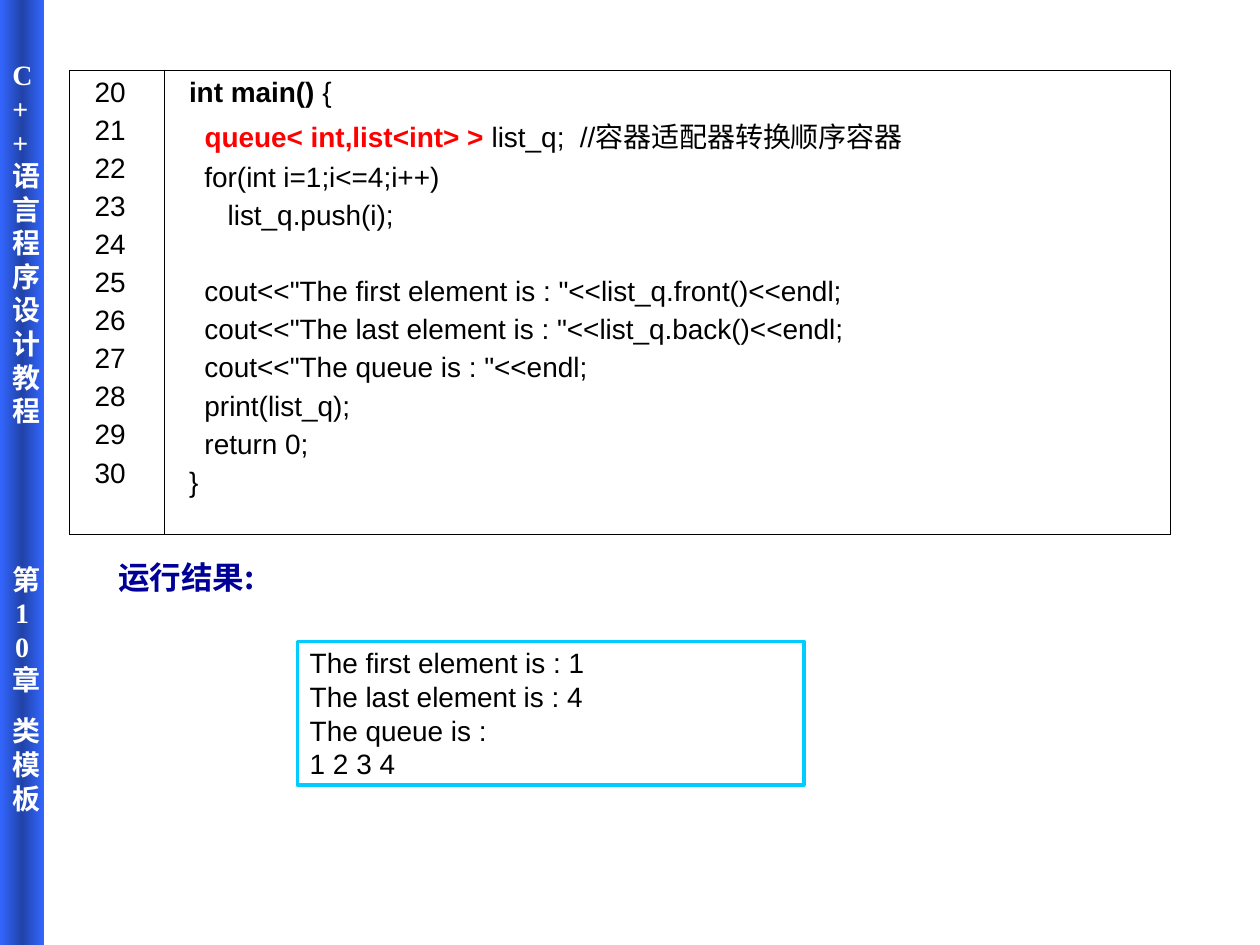
import pptx
import pptx.util
import pptx.dml.color
import pptx.enum.shapes
import pptx.enum.text
import pptx.oxml
import pptx.oxml.ns
import copy

Inches, Pt = pptx.util.Inches, pptx.util.Pt
ALIGN = pptx.enum.text.PP_ALIGN
MIDDLE = pptx.enum.text.MSO_ANCHOR.MIDDLE
RECT = pptx.enum.shapes.MSO_SHAPE.RECTANGLE
CJK = "Noto Sans CJK SC"


def rgb(code):
    return pptx.dml.color.RGBColor.from_string(code)


def style(run, size, color="000000", bold=False, face="Arial"):
    font = run.font
    font.size, font.bold, font.name = Pt(size), bold, face
    font.color.rgb = rgb(color)
    east = pptx.oxml.parse_xml(
        f'<a:ea {pptx.oxml.ns.nsdecls("a")} typeface="{CJK}"/>')
    font._element.append(east)


deck = pptx.Presentation()
deck.slide_width, deck.slide_height = Inches(10), Inches(7.5)
slide = deck.slides.add_slide(deck.slide_layouts[6])
shapes = slide.shapes

# Sidebar with a dark middle
bar = shapes.add_shape(RECT, 0, 0, Inches(0.35), Inches(7.5))
bar.shadow.inherit = False
bar.line.fill.background()
bar.fill.gradient()
bar.fill.gradient_angle = 0
stops = bar.fill._fill._gradFill.gsLst
stops.append(copy.deepcopy(stops[-1]))
for stop, (pos, color) in zip(
        bar.fill.gradient_stops,
        [(0, "3366FF"), (0.5, "2143A9"), (1, "3366FF")]):
    stop.position = pos
    stop.color.rgb = rgb(color)

# Sidebar text, one character a line
frame = bar.text_frame
frame.word_wrap = True
frame.vertical_anchor = pptx.enum.text.MSO_ANCHOR.TOP
frame.margin_top = Inches(0.46)
labels = [("C++语言程序设计教程", 0, ALIGN.LEFT, "Times New Roman"),
          ("第10章", 77, ALIGN.CENTER, "Times New Roman"),
          ("类模板", 10, ALIGN.LEFT, "Arial")]
frame.text = "\n".join(label[0] for label in labels)
for para, (text, gap, align, face) in zip(frame.paragraphs, labels):
    para.alignment = align
    para.space_before = Pt(gap)
    style(para.runs[0], 16, "FFFFFF", True, face)

# Code listing: line numbers and code, each line a list of runs
code = [
    [("int main() ", "000000", True), ("{",)],
    [("  ",), ("queue< int,list<int> >", "FF0000", True),
     (" list_q;  //容器适配器转换顺序容器",)],
    [("  for(int i=1;i<=4;i++)",)],
    [("     list_q.push(i);",)],
    [("  ",)],
    [('  cout<<"The first element is : "<<list_q.front()<<endl;',)],
    [('  cout<<"The last element is : "<<list_q.back()<<endl;',)],
    [('  cout<<"The queue is : "<<endl;',)],
    [("  print(list_q);",)],
    [("  return 0;",)],
    [("}",)],
]
count = [[(str(20 + i),)] for i in range(len(code))]

table = shapes.add_table(1, 2, Inches(0.55), Inches(0.56),
                         Inches(8.74), Inches(3.68)).table
table.first_row = table.horz_banding = False
table.columns[0].width, table.columns[1].width = Inches(0.75), Inches(7.99)
edges = [("L", 0.34), ("R", 0.34), ("T", 1.08), ("B", 0.45)]

for cell, lines in zip(table.rows[0].cells, [count, code]):
    cell.fill.solid()
    cell.fill.fore_color.rgb = rgb("FFFFFF")
    cell.margin_left, cell.margin_right = Inches(0.2), Inches(0.18)
    for i, (side, width) in enumerate(edges):
        edge = pptx.oxml.parse_xml(
            f'<a:ln{side} {pptx.oxml.ns.nsdecls("a")} w="{Pt(width)}">'
            '<a:solidFill><a:srgbClr val="000000"/></a:solidFill>'
            f'</a:ln{side}>')
        cell._tc.get_or_add_tcPr().insert(i, edge)
    frame = cell.text_frame
    for i, line in enumerate(lines):
        para = frame.add_paragraph() if i else frame.paragraphs[0]
        para.space_before = Pt(4 if i else 0)
        props = para._p.get_or_add_pPr()
        props.set("marL", str(Inches(0.38)))
        props.set("indent", str(Inches(-0.38)))
        for text, *look in line:
            run = para.add_run()
            run.text = text
            style(run, 16, *look)

# Result heading
head = shapes.add_textbox(Inches(0.67), Inches(4.38),
                          Inches(1.62), Inches(0.39))
frame = head.text_frame
frame.word_wrap = True
frame.vertical_anchor = MIDDLE
frame.text = "运行结果:"
frame.paragraphs[0].alignment = ALIGN.CENTER
style(frame.paragraphs[0].runs[0], 18, "000099", True, CJK)

# Program output
box = shapes.add_shape(RECT, Inches(2.36), Inches(5.09),
                       Inches(4.02), Inches(1.14))
box.shadow.inherit = False
box.fill.solid()
box.fill.fore_color.rgb = rgb("FFFFFF")
box.line.color.rgb = rgb("00CCFF")
box.line.width = Pt(2)
frame = box.text_frame
frame.word_wrap = True
frame.vertical_anchor = MIDDLE
para = frame.paragraphs[0]
para.text = "\v".join(["The first element is : 1", "The last element is : 4",
                       "The queue is :", "1 2 3 4"])
para.alignment = ALIGN.LEFT
for run in para.runs:
    style(run, 16)

deck.save("out.pptx")
